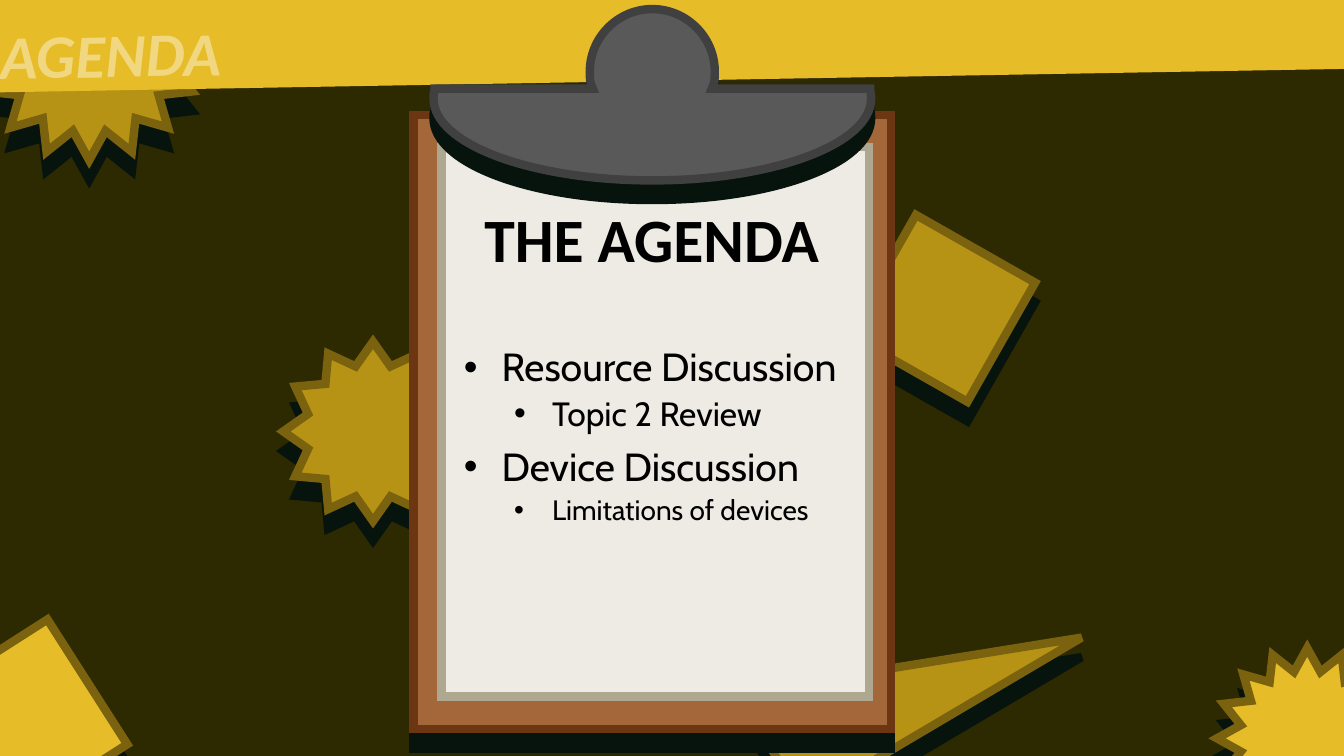
from dataclasses import dataclass
from typing import Optional

import pptx
import pptx.dml.color
import pptx.enum.shapes
import pptx.enum.text
import pptx.oxml.ns
import pptx.util
from lxml import etree

Inches = pptx.util.Inches
Pt = pptx.util.Pt
Preset = pptx.enum.shapes.MSO_SHAPE
qn = pptx.oxml.ns.qn

COLORS = {
    "backdrop": "2D2901", "shadow": "06140D",
    "ochre": "B79315", "yellow": "E7BC29", "bronze": "7A620E", "pale": "F1D77F",
    "board": "A4673A", "board_edge": "6C3612",
    "paper": "EDEBE3", "paper_edge": "AEA890",
    "clip": "595959", "clip_edge": "404040", "ink": "000000",
}


@dataclass(frozen=True)
class Figure:
    preset: Preset
    left: float
    top: float
    width: float
    height: float
    fill: str
    edge: Optional[str] = "bronze"
    rotation: float = 0
    shadow: bool = True


@dataclass(frozen=True)
class AgendaItem:
    text: str
    level: int
    size: int


BACK_FIGURES = [
    Figure(Preset.RECTANGLE, 8.66, 2.38, 1.36, 1.36, "ochre", rotation=29.6),
    Figure(Preset.STAR_12_POINT, 2.81, 3.39, 1.78, 1.78, "ochre"),
    Figure(Preset.RIGHT_TRIANGLE, 7.42, 5.97, 3.21, 1.26, "ochre", rotation=329.4),
    Figure(Preset.STAR_16_POINT, -0.22, -0.62, 2.21, 2.21, "ochre"),
    Figure(Preset.RECTANGLE, -0.22, -0.68, 13.86, 1.48, "yellow", None, 359, False),
]
FRONT_FIGURES = [
    Figure(Preset.RECTANGLE, -0.57, 6.45, 1.56, 1.47, "yellow", rotation=327.4),
    Figure(Preset.STAR_16_POINT, 12.07, 6.43, 1.79, 1.79, "yellow"),
    Figure(Preset.RECTANGLE, 4.1, 1.14, 4.74, 6.09, "board", "board_edge"),
    Figure(Preset.RECTANGLE, 4.38, 1.46, 4.24, 5.45, "paper", "paper_edge", shadow=False),
]
AGENDA = [
    AgendaItem("Resource Discussion", 0, 28),
    AgendaItem("Topic 2 Review", 1, 24),
    AgendaItem("Device Discussion", 0, 28),
    AgendaItem("Limitations of devices", 1, 20),
]
CLIP_AXIS = 6.47
# Right half of the clip, as distance from its axis and height on the slide.
CLIP_HALF = [
    (0, 0.09),
    (0.34, 0.09), (0.62, 0.37), (0.62, 0.71),
    (0.62, 0.75), (0.62, 0.79), (0.61, 0.83),
    (0.59, 0.88), (2.16, 0.88), (2.16, 0.89),
    (2.17, 0.92), (2.17, 0.95), (2.17, 0.98),
    (2.17, 1.43), (1.2, 1.79), (0, 1.79),
]
CLIP_SEGMENTS = "CCLLLCC" * 2


def rgb(name: str) -> pptx.dml.color.RGBColor:
    return pptx.dml.color.RGBColor.from_string(COLORS[name])


def add_color(parent: etree._Element, name: str) -> None:
    etree.SubElement(parent, qn("a:srgbClr"), val=COLORS[name])


def paint(shape, fill: str, edge: Optional[str], shadow: bool) -> None:
    """Set fill, mitred outline and the hard shadow that falls straight down."""
    shape.fill.solid()
    shape.fill.fore_color.rgb = rgb(fill)
    if edge:
        shape.line.color.rgb = rgb(edge)
        shape.line.width = Pt(6)
        outline = shape.element.spPr.find(qn("a:ln"))
        etree.SubElement(outline, qn("a:miter"), lim="800000")
    else:
        shape.line.fill.background()
    shape.shadow.inherit = False
    if shadow:
        effects = shape.element.spPr.find(qn("a:effectLst"))
        drop = etree.SubElement(effects, qn("a:outerShdw"), blurRad="0", dist=str(Pt(14)),
                                dir="5400000", algn="t", rotWithShape="0")
        add_color(drop, "shadow")


def add_figure(slide, figure: Figure) -> None:
    shape = slide.shapes.add_shape(figure.preset, Inches(figure.left), Inches(figure.top),
                                   Inches(figure.width), Inches(figure.height))
    shape.rotation = figure.rotation
    paint(shape, figure.fill, figure.edge, figure.shadow)


def add_clip(slide) -> None:
    """Draw through all control points, then merge each curve's three lines."""
    mirrored = [(-x, y) for x, y in reversed(CLIP_HALF[:-1])]
    points = [(Inches(CLIP_AXIS + x), Inches(y)) for x, y in CLIP_HALF + mirrored]
    builder = slide.shapes.build_freeform(*points[0])
    builder.add_line_segments(points[1:], close=True)
    clip = builder.convert_to_shape()
    lines = iter(list(clip.element.iter(qn("a:lnTo"))))
    for segment in CLIP_SEGMENTS:
        curve = next(lines)
        if segment == "C":
            handles = [curve, next(lines), next(lines)]
            bezier = etree.Element(qn("a:cubicBezTo"))
            curve.addprevious(bezier)
            for handle in handles:
                bezier.append(handle[0])
                handle.getparent().remove(handle)
    paint(clip, "clip", "clip_edge", True)


def place(shape, left: float, top: float, width: float, height: float) -> None:
    """Move the shape to the given box and bring it to the front."""
    shape.left, shape.top = Inches(left), Inches(top)
    shape.width, shape.height = Inches(width), Inches(height)
    shape.element.getparent().append(shape.element)
    frame = shape.text_frame
    frame.word_wrap = True
    frame.auto_size = pptx.enum.text.MSO_AUTO_SIZE.NONE
    frame.vertical_anchor = pptx.enum.text.MSO_ANCHOR.TOP


def write_heading(shape, text: str, color: str, italic: bool,
                  alignment: pptx.enum.text.PP_ALIGN) -> None:
    paragraph = shape.text_frame.paragraphs[0]
    paragraph.text = text
    paragraph.alignment = alignment
    font = paragraph.font
    font.name, font.size = "Calibri", Pt(44)
    font.bold, font.italic = True, italic
    font.color.rgb = rgb(color)
    outline = etree.Element(qn("a:ln"), w=str(Pt(1.5)))
    add_color(etree.SubElement(outline, qn("a:solidFill")), color)
    paragraph._p.pPr.find(qn("a:defRPr")).insert(0, outline)


def write_agenda(frame) -> None:
    for index, item in enumerate(AGENDA):
        paragraph = frame.paragraphs[0] if index == 0 else frame.add_paragraph()
        paragraph.text = item.text
        paragraph.level = item.level
        properties = paragraph._p.get_or_add_pPr()
        properties.set("marL", str(Pt(27 + 36 * item.level)))
        properties.set("indent", str(Pt(-27)))
        etree.SubElement(properties, qn("a:buFont"), typeface="Arial")
        etree.SubElement(properties, qn("a:buChar"), char="•")
        paragraph.alignment = pptx.enum.text.PP_ALIGN.LEFT
        paragraph.line_spacing = 0.9
        paragraph.space_before = Pt(0 if index == 0 else 5 if item.level else 10)
        paragraph.font.name, paragraph.font.size = "Cabin", Pt(item.size)
        paragraph.font.color.rgb = rgb("ink")


def main() -> None:
    deck = pptx.Presentation()
    deck.slide_width, deck.slide_height = Inches(13.33), Inches(7.5)
    slide = deck.slides.add_slide(deck.slide_layouts[0])
    slide.background.fill.solid()
    slide.background.fill.fore_color.rgb = rgb("backdrop")

    for figure in BACK_FIGURES:
        add_figure(slide, figure)
    banner = slide.shapes.add_textbox(0, 0, 0, 0)
    place(banner, -0.1, -0.01, 15.87, 0.84)
    banner.rotation = 359
    write_heading(banner, "AGENDA", "pale", True, pptx.enum.text.PP_ALIGN.LEFT)
    for figure in FRONT_FIGURES:
        add_figure(slide, figure)
    add_clip(slide)

    title, agenda = slide.shapes.title, slide.placeholders[1]
    place(title, 4.19, 1.94, 4.55, 0.84)
    write_heading(title, "THE AGENDA", "ink", False, pptx.enum.text.PP_ALIGN.CENTER)
    place(agenda, 4.5, 3.4, 4.18, 3.68)
    write_agenda(agenda.text_frame)
    deck.save("out.pptx")


if __name__ == "__main__":
    main()
